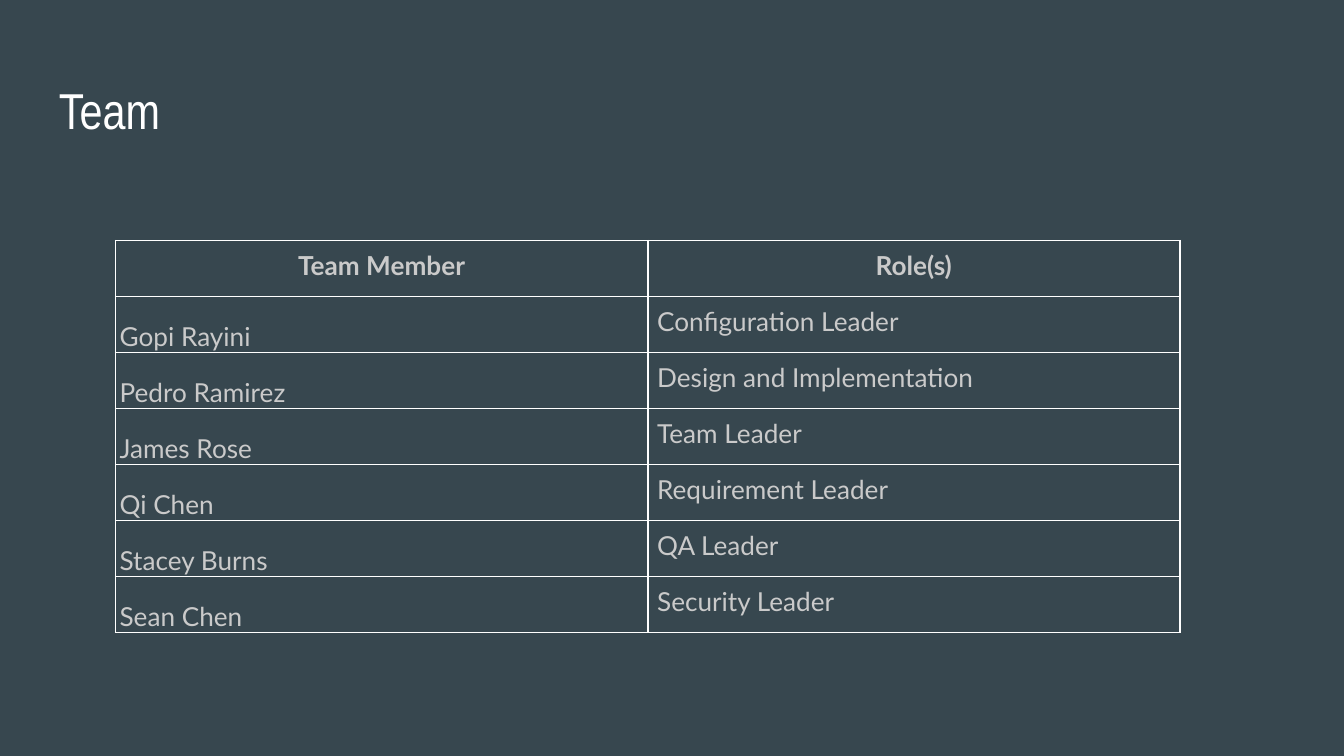
import pptx
import pptx.dml.color
import pptx.enum.text
import pptx.oxml
import pptx.oxml.ns
import pptx.util
from pptx.util import Inches

ALIGN = pptx.enum.text.PP_ALIGN
ANCHOR = pptx.enum.text.MSO_ANCHOR

# Content
TITLE = "Team"
HEADERS = ("Team Member", "Role(s)")
MEMBERS = [
    ("Gopi Rayini", "Configuration Leader"),
    ("Pedro Ramirez", "Design and Implementation"),
    ("James Rose", "Team Leader"),
    ("Qi Chen", "Requirement Leader"),
    ("Stacey Burns", "QA Leader"),
    ("Sean Chen", "Security Leader"),
]
ROWS = [HEADERS] + MEMBERS

# Look
BACKGROUND, WHITE, GREY = "37474F", "FFFFFF", "CACACA"
PAGE_WIDTH = Inches(10)
PAGE_HEIGHT = PAGE_WIDTH * 9 // 16
COLUMN_WIDTH = Inches(3.96)
ROW_HEIGHT = Inches(5) // 12


def color(value):
    return pptx.dml.color.RGBColor.from_string(value)


def write(frame, text, font="Lato", size=14, fill=GREY, bold=False, align=ALIGN.LEFT):
    para = frame.paragraphs[0]
    para.alignment = align
    span = para.add_run()
    span.text = text
    span.font.name = font
    span.font.size = pptx.util.Pt(size)
    span.font.bold = bold
    span.font.color.rgb = color(fill)


def set_margins(holder, across, down):
    holder.margin_left = holder.margin_right = Inches(across)
    holder.margin_top = holder.margin_bottom = Inches(down)


def add_borders(cell, fill, points=1):
    properties = cell._tc.get_or_add_tcPr()
    for index, side in enumerate("LRTB"):
        line = pptx.oxml.parse_xml(
            f'<a:ln{side} {pptx.oxml.ns.nsdecls("a")} w="{pptx.util.Pt(points)}">'
            f'<a:solidFill><a:srgbClr val="{fill}"/></a:solidFill></a:ln{side}>'
        )
        properties.insert(index, line)


deck = pptx.Presentation()
deck.slide_width, deck.slide_height = PAGE_WIDTH, PAGE_HEIGHT
page = deck.slides.add_slide(deck.slide_layouts[6])
page.background.fill.solid()
page.background.fill.fore_color.rgb = color(BACKGROUND)

# Title
box = page.shapes.add_textbox(Inches(0.34), Inches(0.49), Inches(9.32), Inches(0.63))
box.text_frame.word_wrap = True
set_margins(box.text_frame, 0.1, 0.1)
write(box.text_frame, TITLE, font="Arial Narrow", size=27, fill=WHITE)

# Team table
table = page.shapes.add_table(
    len(ROWS), len(HEADERS), Inches(0.86), Inches(1.79),
    COLUMN_WIDTH * len(HEADERS), ROW_HEIGHT * len(ROWS),
).table
table.first_row = table.horz_banding = False
for column in table.columns:
    column.width = COLUMN_WIDTH

for row_index, texts in enumerate(ROWS):
    table.rows[row_index].height = ROW_HEIGHT
    is_header = row_index == 0
    for column_index, text in enumerate(texts):
        cell = table.cell(row_index, column_index)
        cell.fill.background()
        add_borders(cell, WHITE)
        is_name = column_index == 0 and not is_header
        if is_name:
            set_margins(cell, 0.03, 0)
        else:
            set_margins(cell, 0.07, 0.07)
        cell.vertical_anchor = ANCHOR.BOTTOM if is_name else ANCHOR.TOP
        write(cell.text_frame, text, bold=is_header,
              align=ALIGN.CENTER if is_header else ALIGN.LEFT)

deck.save("out.pptx")
